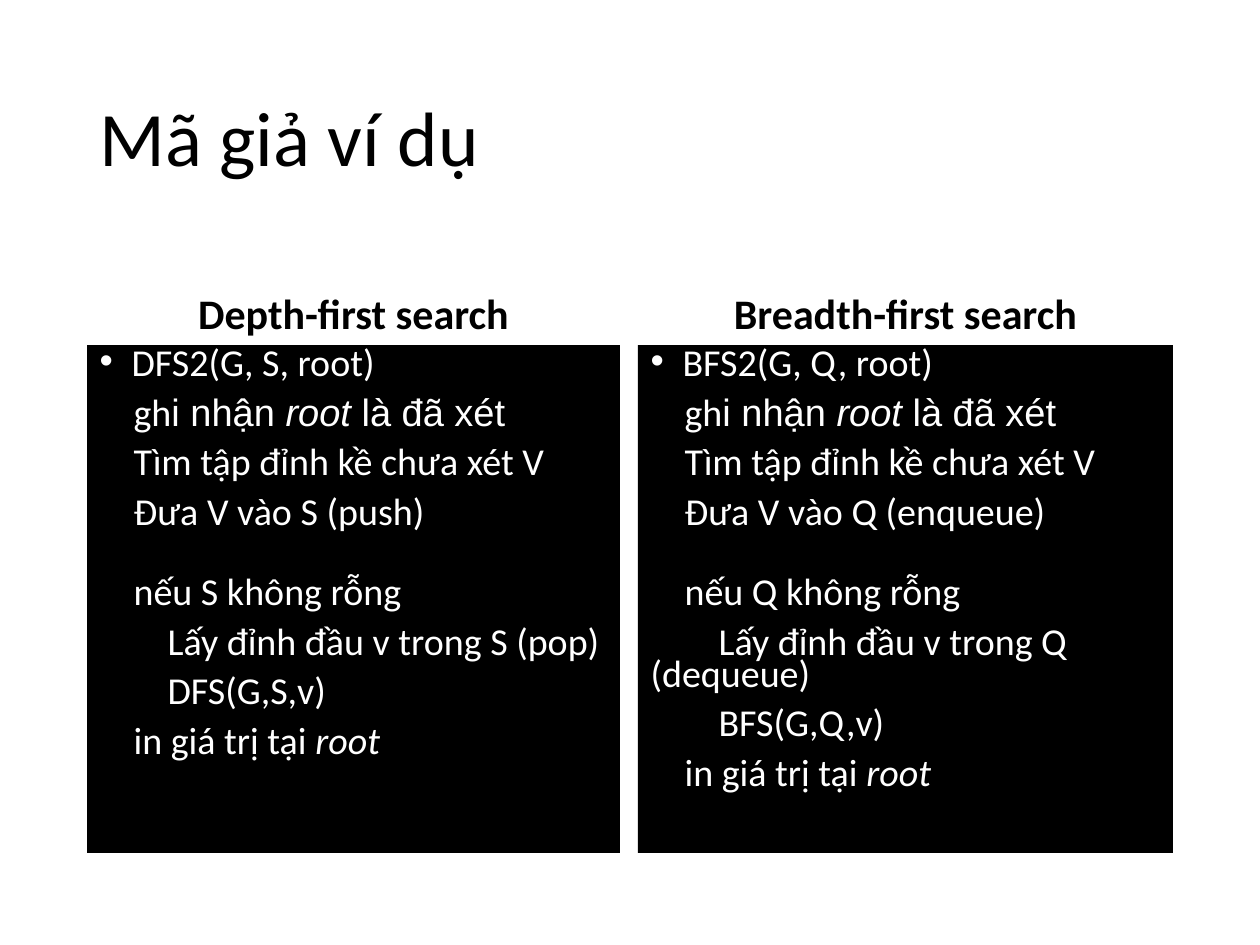
from dataclasses import dataclass

from lxml import etree
from pptx import Presentation
from pptx.dml.color import RGBColor
from pptx.enum.text import MSO_ANCHOR, MSO_AUTO_SIZE, PP_ALIGN
from pptx.oxml.ns import qn
from pptx.util import Emu, Pt

LEFT, CENTER = PP_ALIGN.LEFT, PP_ALIGN.CENTER
TOP, MIDDLE, BOTTOM = MSO_ANCHOR.TOP, MSO_ANCHOR.MIDDLE, MSO_ANCHOR.BOTTOM
NO_AUTOFIT = MSO_AUTO_SIZE.NONE

EMU_PER_INCH, PX_PER_INCH = 914400, 126
COMPARISON_LAYOUT = 4
BLACK, WHITE = "000000", "FFFFFF"
INDENT_STEP = 34
BULLET_INDENT = 32


@dataclass(frozen=True)
class TextRun:
    text: str
    font: str = "Calibri"
    italic: bool = False
    bold: bool = False


@dataclass(frozen=True)
class Line:
    runs: tuple[TextRun, ...]
    level: int = 0
    bulleted: bool = False
    space_before: int = 10


@dataclass(frozen=True)
class TextStyle:
    size: float
    color: str
    spacing: float
    alignment: PP_ALIGN
    anchor: MSO_ANCHOR


@dataclass(frozen=True)
class Algorithm:
    heading: str
    name: str
    store: str
    insert: str
    remove: str
    left: int
    width: int
    heading_index: int
    code_index: int


TITLE_STYLE = TextStyle(44, BLACK, 0.9, LEFT, MIDDLE)
HEADING_STYLE = TextStyle(24, BLACK, 0.9, CENTER, BOTTOM)
CODE_STYLE = TextStyle(21.7, WHITE, 0.7, LEFT, TOP)

ALGORITHMS = (
    Algorithm("Depth-first search", "DFS", "S", "push", "pop", 87, 533, 1, 2),
    Algorithm("Breadth-first search", "BFS", "Q", "enqueue", "dequeue", 638, 535, 3, 4),
)


def px(length: int) -> Emu:
    return Emu(round(length * EMU_PER_INCH / PX_PER_INCH))


def color(value: str) -> RGBColor:
    return RGBColor.from_string(value)


def place(shape, left: int, top: int, width: int, height: int) -> None:
    shape.left, shape.top = px(left), px(top)
    shape.width, shape.height = px(width), px(height)


def format_indent(paragraph, line: Line) -> None:
    properties = paragraph._p.get_or_add_pPr()
    margin = BULLET_INDENT if line.bulleted else 0
    first_line = -BULLET_INDENT if line.bulleted else line.level * INDENT_STEP
    properties.set("marL", str(px(margin)))
    properties.set("indent", str(px(first_line)))
    if line.bulleted:
        etree.SubElement(properties, qn("a:buFont"), typeface="Arial")
        etree.SubElement(properties, qn("a:buChar"), char="•")
    else:
        etree.SubElement(properties, qn("a:buNone"))


def write_lines(shape, lines: tuple[Line, ...], style: TextStyle) -> None:
    frame = shape.text_frame
    frame.word_wrap = True
    frame.auto_size = NO_AUTOFIT
    frame.vertical_anchor = style.anchor
    for position, line in enumerate(lines):
        paragraph = frame.add_paragraph() if position else frame.paragraphs[0]
        paragraph.alignment = style.alignment
        paragraph.line_spacing = style.spacing
        paragraph.space_before = Pt(line.space_before)
        paragraph.space_after = Pt(0)
        format_indent(paragraph, line)
        for part in line.runs:
            run = paragraph.add_run()
            run.text = part.text
            run.font.name = part.font
            run.font.size = Pt(style.size)
            run.font.bold = part.bold
            run.font.italic = part.italic
            run.font.color.rgb = color(style.color)


def plain(text: str, level: int = 1, space_before: int = 10) -> Line:
    return Line((TextRun(text),), level, space_before=space_before)


def code_lines(algorithm: Algorithm) -> tuple[Line, ...]:
    name, store = algorithm.name, algorithm.store
    return (
        Line((TextRun(f"{name}2(G, {store}, root)"),), bulleted=True),
        Line((
            TextRun("gh"),
            TextRun("i nhận ", "Arial"),
            TextRun("root ", "Arial", italic=True),
            TextRun("là đã xét", "Arial"),
        ), 1),
        plain("Tìm tập đỉnh kề chưa xét V"),
        plain(f"Đưa V vào {store} ({algorithm.insert})"),
        plain(f"nếu {store} không rỗng", space_before=28),
        plain(f"Lấy đỉnh đầu v trong {store} ({algorithm.remove})", 2),
        plain(f"{name}(G,{store},v)", 2),
        Line((TextRun("in giá trị tại "), TextRun("root", italic=True)), 1),
    )


def draw_algorithm(slide, algorithm: Algorithm) -> None:
    heading = slide.placeholders[algorithm.heading_index]
    place(heading, algorithm.left, 232, algorithm.width, 113)
    heading_line = Line((TextRun(algorithm.heading, bold=True),))
    write_lines(heading, (heading_line,), HEADING_STYLE)

    code = slide.placeholders[algorithm.code_index]
    place(code, algorithm.left, 345, algorithm.width, 508)
    code.fill.solid()
    code.fill.fore_color.rgb = color(BLACK)
    write_lines(code, code_lines(algorithm), CODE_STYLE)


def main() -> None:
    presentation = Presentation()
    presentation.slide_width, presentation.slide_height = px(1260), px(945)
    slide = presentation.slides.add_slide(presentation.slide_layouts[COMPARISON_LAYOUT])
    title = slide.shapes.title
    place(title, 87, 50, 1086, 183)
    write_lines(title, (plain("Mã giả ví dụ", 0, 0),), TITLE_STYLE)
    for algorithm in ALGORITHMS:
        draw_algorithm(slide, algorithm)
    presentation.save("out.pptx")


if __name__ == "__main__":
    main()
